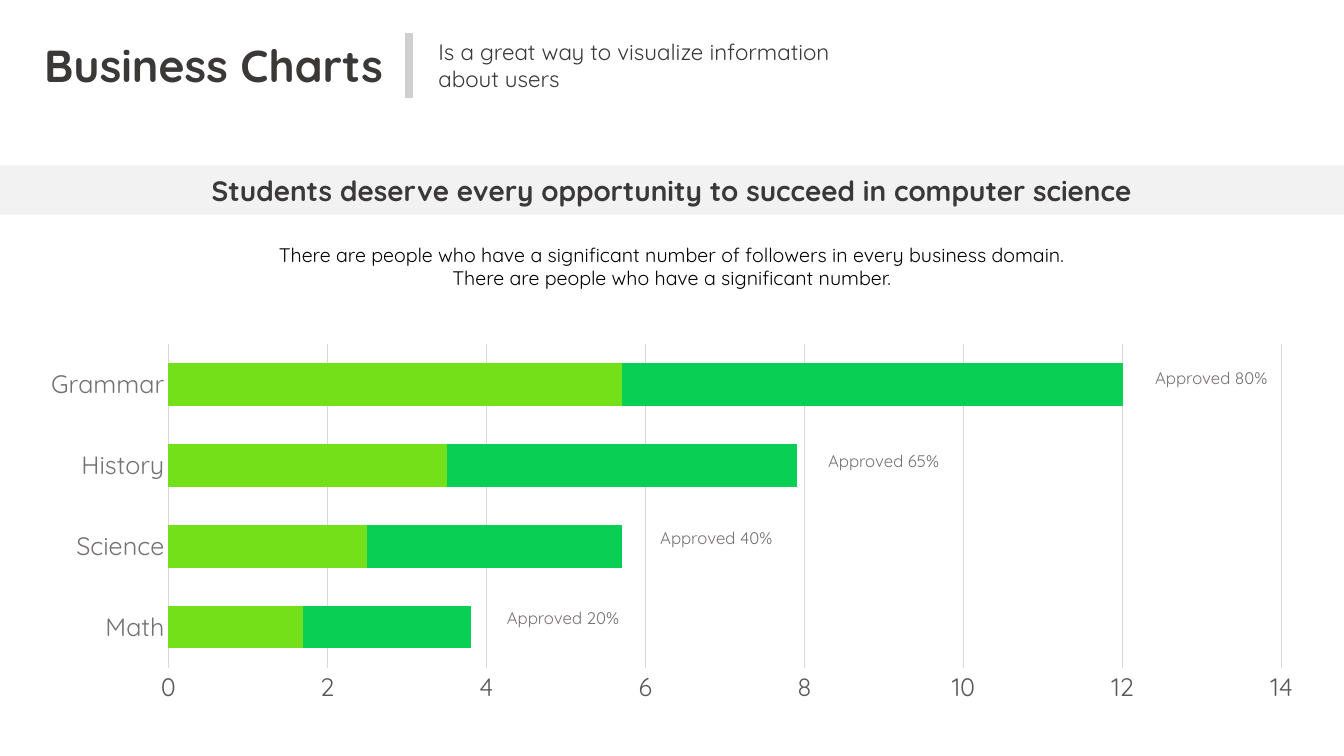
from pptx import Presentation
from pptx.chart.data import CategoryChartData
from pptx.dml.color import RGBColor
from pptx.enum import chart as charts, shapes, text
from pptx.oxml import xmlchemy
from pptx.util import Inches, Pt

FONT = "Quicksand"
COLORS = {
    "band": "F2F2F2",
    "heading": "3B3838",
    "divider": "D0CECE",
    "label": "767171",
    "scale": "595959",
    "grid": "D9D9D9",
    "body": "000000",
    "lime": "73E019",
    "green": "09D054",
}
SUBJECTS = ["Math", "Science", "History", "Grammar"]
SERIES = [
    ("Series 1", [1.7, 2.5, 3.5, 5.7], "lime"),
    ("Series 2", [2.1, 3.2, 4.4, 6.3], "green"),
]
APPROVALS = [
    ("Approved 20%", 4.82, 5.98),
    ("Approved 40%", 6.34, 5.19),
    ("Approved 65%", 8, 4.42),
    ("Approved 80%", 11.25, 3.6),
]


def color(name):
    return RGBColor.from_string(COLORS[name])


def style_font(font, size, name, bold=False):
    font.name = FONT
    font.size = Pt(size)
    font.bold = bold
    font.color.rgb = color(name)


def style_line(line, name, width):
    line.color.rgb = color(name)
    line.width = Pt(width)


def add_text(page, words, area, size, name, bold=False, centered=True):
    box = page.shapes.add_textbox(*map(Inches, area))
    frame = box.text_frame
    frame.word_wrap = True
    frame.text = words
    para = frame.paragraphs[0]
    para.alignment = text.PP_ALIGN.CENTER if centered else text.PP_ALIGN.LEFT
    style_font(para.runs[0].font, size, name, bold)


def add_band(page, area, name):
    band = page.shapes.add_shape(shapes.MSO_SHAPE.RECTANGLE, *map(Inches, area))
    band.shadow.inherit = False
    band.fill.solid()
    band.fill.fore_color.rgb = color(name)
    band.line.fill.background()


def add_divider(page, left, top, bottom):
    divider = page.shapes.add_connector(
        shapes.MSO_CONNECTOR.STRAIGHT,
        Inches(left), Inches(top), Inches(left), Inches(bottom))
    style_line(divider.line, "divider", 5.5)
    properties = divider._element.spPr
    properties.append(xmlchemy.OxmlElement("a:effectLst"))


def style_axis(axis, name):
    axis.major_tick_mark = charts.XL_TICK_MARK.NONE
    axis.minor_tick_mark = charts.XL_TICK_MARK.NONE
    style_font(axis.tick_labels.font, 18, name)


def add_subject_chart(page, area):
    data = CategoryChartData()
    data.categories = SUBJECTS
    for title, values, _ in SERIES:
        data.add_series(title, values)
    chart = page.shapes.add_chart(
        charts.XL_CHART_TYPE.BAR_STACKED, *map(Inches, area), data).chart
    chart.has_legend = False
    chart.has_title = False
    style_font(chart.font, 18, "body")

    plot = chart.plots[0]
    plot.gap_width = 90
    plot.overlap = 100
    plot.vary_by_categories = False
    for series, (_, _, name) in zip(plot.series, SERIES):
        series.format.fill.solid()
        series.format.fill.fore_color.rgb = color(name)

    subjects = chart.category_axis
    style_axis(subjects, "label")
    subjects.has_major_gridlines = False
    style_line(subjects.format.line, "grid", 0.75)

    scale = chart.value_axis
    style_axis(scale, "scale")
    scale.minimum_scale = 0
    scale.maximum_scale = 14
    scale.major_unit = 2
    scale.format.line.fill.background()
    scale.has_major_gridlines = True
    style_line(scale.major_gridlines.format.line, "grid", 0.75)


def main():
    deck = Presentation()
    deck.slide_width = Inches(13.33)
    deck.slide_height = Inches(7.5)
    page = deck.slides.add_slide(deck.slide_layouts[6])

    add_band(page, (0, 1.64, 13.33, 0.49), "band")
    add_text(page, "Business Charts", (0.18, 0.33, 3.88, 0.64), 32, "heading", bold=True)
    add_text(page, "Is a great way to visualize information about users",
             (4.25, 0.33, 4.51, 0.64), 16, "heading", centered=False)
    add_divider(page, 4.06, 0.33, 0.97)
    add_subject_chart(page, (0.25, 3.34, 12.83, 3.71))
    for words, left, top in APPROVALS:
        add_text(page, words, (left, top, 1.53, 0.3), 12, "label")
    add_text(page, "Students deserve every opportunity to succeed in computer science",
             (1.27, 1.67, 10.79, 0.44), 20, "heading", bold=True)
    add_text(page, "There are people who have a significant number of followers in every "
             "business domain. There are people who have a significant number.",
             (2.58, 2.36, 8.17, 0.57), 14, "body")
    deck.save("out.pptx")


if __name__ == "__main__":
    main()
